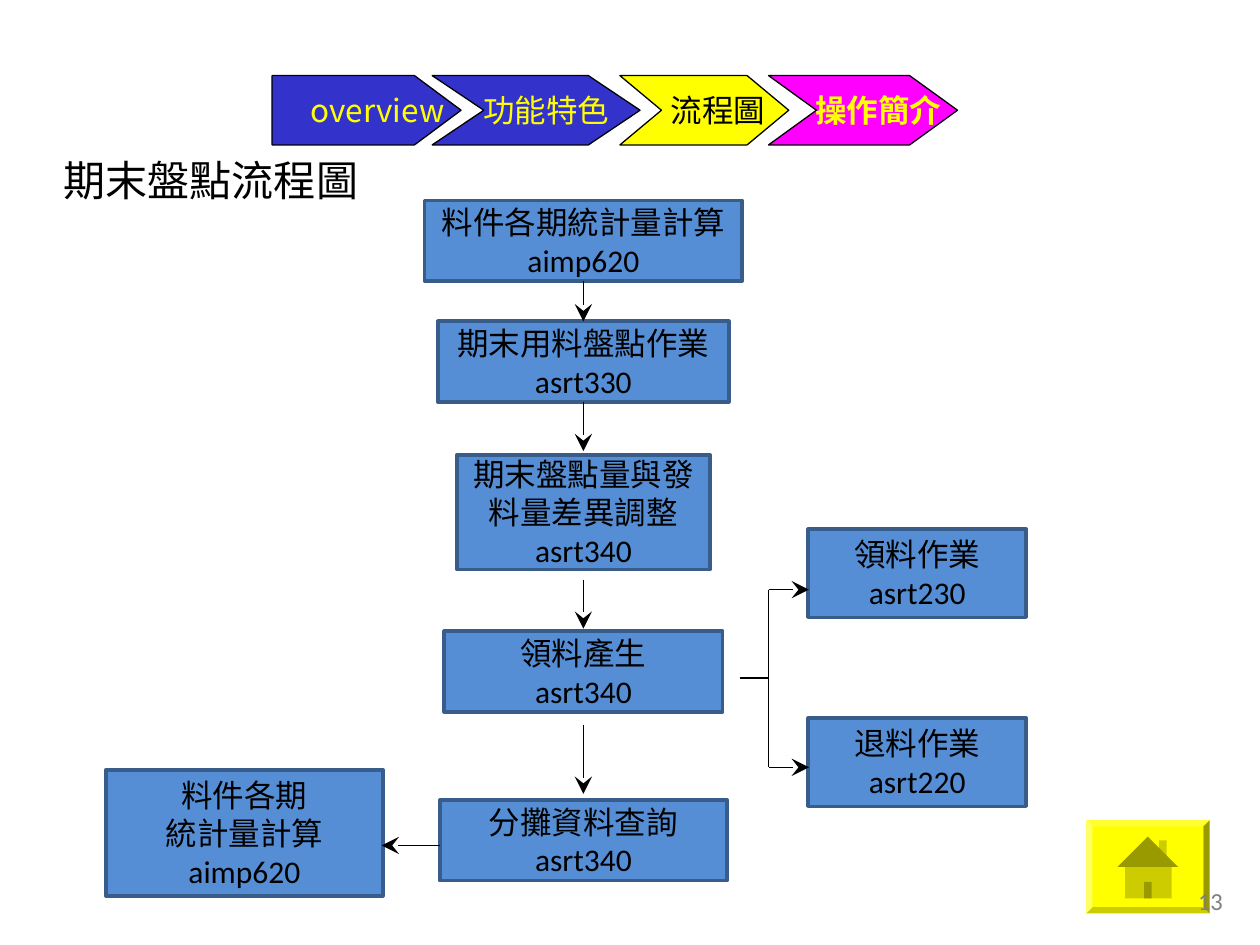
from lxml.etree import SubElement as Sub
from pptx import Presentation
from pptx.dml.color import RGBColor as Rgb
from pptx.enum.shapes import MSO_CONNECTOR as Line, MSO_SHAPE as Kind
from pptx.enum.text import MSO_ANCHOR as Anchor, MSO_AUTO_SIZE as Auto, PP_ALIGN as Align
from pptx.oxml.ns import qn
from pptx.util import Inches, Pt

COLORS = {
    "black": "000000", "gray": "7F7F7F", "box": "558ED5", "edge": "385D8A",
    "navy": "3333CC", "yellow": "FFFF00", "pink": "FF00FF",
    "olive": "CCCC00", "dark": "999900",
}
CJK = "Noto Sans CJK TC"
LATIN = "Calibri"


class Deck:
    """Holds the style and the current slide of the flow chart."""

    def __init__(self, wide, high):
        self.prs = Presentation()
        self.prs.slide_width = Inches(wide)
        self.prs.slide_height = Inches(high)
        self.slide = self.prs.slides.add_slide(self.prs.slide_layouts[6])
        self.shapes = self.slide.shapes

    def color(self, name):
        return Rgb.from_string(COLORS[name])

    def fill_text(self, frame, text, size, font, color, align, bold=None):
        frame.text = text
        for para in frame.paragraphs:
            para.alignment = align
            for run in para.runs:
                run.font.size = Pt(size)
                run.font.name = font
                run.font.bold = bold
                run.font.color.rgb = self.color(color)
                Sub(run._r.get_or_add_rPr(), qn("a:ea"), typeface=CJK)

    def paint(self, shape, fill, edge=None, width=0.75):
        shape.shadow.inherit = False
        shape.fill.solid()
        shape.fill.fore_color.rgb = self.color(fill)
        if edge:
            shape.line.color.rgb = self.color(edge)
            shape.line.width = Pt(width)
        else:
            shape.line.fill.background()

    def shape(self, kind, x, y, w, h):
        return self.shapes.add_shape(kind, Inches(x), Inches(y), Inches(w), Inches(h))

    def label(self, text, x, y, w, h, size, font, color, wrap=True):
        box = self.shapes.add_textbox(Inches(x), Inches(y), Inches(w), Inches(h))
        frame = box.text_frame
        frame.word_wrap = wrap
        frame.auto_size = Auto.NONE if wrap else Auto.SHAPE_TO_FIT_TEXT
        self.fill_text(frame, text, size, font, color, Align.LEFT)

    def step(self, text, mid, y, w, h):
        box = self.shape(Kind.RECTANGLE, mid - w / 2, y, w, h)
        self.paint(box, "box", "edge", 2)
        frame = box.text_frame
        frame.word_wrap = True
        frame.vertical_anchor = Anchor.MIDDLE
        self.fill_text(frame, text, 18, LATIN, "black", Align.CENTER)
        return box

    def tab(self, kind, text, x, w, tip, shift, fill, color, bold=None):
        tab = self.shape(kind, x, 0.6, w, 0.55)
        tab.adjustments[0] = tip / 0.55
        self.paint(tab, fill, "black")
        frame = tab.text_frame
        frame.word_wrap = False
        frame.vertical_anchor = Anchor.MIDDLE
        frame.margin_left = Inches(2 * shift)
        frame.margin_right = 0
        self.fill_text(frame, text, 18, CJK, color, Align.CENTER, bold)

    def link(self, start, end, head=True, src=None, dst=None):
        ends = [Inches(v) for v in (*start, *end)]
        link = self.shapes.add_connector(Line.STRAIGHT, *ends)
        if src:
            link.begin_connect(src, 2)
        if dst:
            link.end_connect(dst, 0)
        link.line.color.rgb = self.color("black")
        link.line.width = Pt(0.75)
        props = link._element.spPr
        if head:
            Sub(props.find(qn("a:ln")), qn("a:tailEnd"), type="stealth", w="lg", len="lg")
        Sub(props, qn("a:effectLst"))

    def outline(self, points, fill):
        spots = [(Inches(x), Inches(y)) for x, y in points]
        pen = self.shapes.build_freeform(*spots[0])
        pen.add_line_segments(spots[1:], close=True)
        self.paint(pen.convert_to_shape(), fill)

    def home(self, x, y):
        plate = self.shape(Kind.BEVEL, x, y, 0.98, 0.74)
        plate.adjustments[0] = 0.05 / 0.74
        self.paint(plate, "yellow")
        for dx, dy, w, h, fill in (
            (0.58, 0.16, 0.06, 0.12, "olive"),
            (0.31, 0.37, 0.37, 0.25, "olive"),
            (0.46, 0.49, 0.06, 0.13, "dark"),
        ):
            self.paint(self.shape(Kind.RECTANGLE, x + dx, y + dy, w, h), fill)
        roof = [(x + 0.49, y + 0.13), (x + 0.73, y + 0.37), (x + 0.25, y + 0.37)]
        self.outline(roof, "dark")


def main():
    deck = Deck(10, 7.5)
    deck.label("期末盤點流程圖", 0.41, 1.18, 2.53, 0.5, 24, CJK, "black", wrap=False)

    mid = 4.63
    steps = [
        deck.step(text, mid, y, w, h)
        for text, y, w, h in (
            ("料件各期統計量計算\naimp620", 1.59, 2.52, 0.64),
            ("期末用料盤點作業\nasrt330", 2.55, 2.31, 0.64),
            ("期末盤點量與發料量差異調整\nasrt340", 3.61, 2.01, 0.91),
            ("領料產生\nasrt340", 5.01, 2.21, 0.64),
            ("分攤資料查詢\nasrt340", 6.35, 2.28, 0.64),
        )
    ]
    deck.step("領料作業\nasrt230", 7.28, 4.2, 1.73, 0.7)
    deck.step("退料作業\nasrt220", 7.28, 5.7, 1.73, 0.7)
    deck.step("料件各期\n統計量計算\naimp620", 1.94, 6.11, 2.2, 1)

    for top, end, src, dst in (
        (2.23, 2.55, steps[0], steps[1]),
        (3.19, 3.58, steps[1], None),
        (4.6, 4.99, None, None),
        (5.75, 6.3, None, None),
    ):
        deck.link((mid, top), (mid, end), src=src, dst=dst)
    deck.link((3.49, 6.71), (3.03, 6.71))

    fork, high, low = 6.1, 4.68, 6.09
    deck.link((fork, high), (fork, low), head=False)
    deck.link((5.87, 5.38), (fork, 5.38), head=False)
    for y in (high, low):
        deck.link((fork, y), (6.42, y))

    deck.home(8.62, 6.51)
    for tab in (
        (Kind.CHEVRON, "功能特色", 3.43, 1.65, 0.41, 0.08, "navy", "yellow"),
        (Kind.CHEVRON, "流程圖", 4.92, 1.34, 0.33, 0.11, "yellow", "black"),
        (Kind.CHEVRON, "操作簡介", 6.1, 1.5, 0.38, 0.12, "pink", "yellow", True),
        (Kind.PENTAGON, "overview", 2.16, 1.5, 0.37, 0.18, "navy", "yellow"),
    ):
        deck.tab(*tab)
    deck.label("13", 9.41, 6.98, 0.59, 0.27, 14, LATIN, "gray")
    deck.prs.save("out.pptx")


if __name__ == "__main__":
    main()
